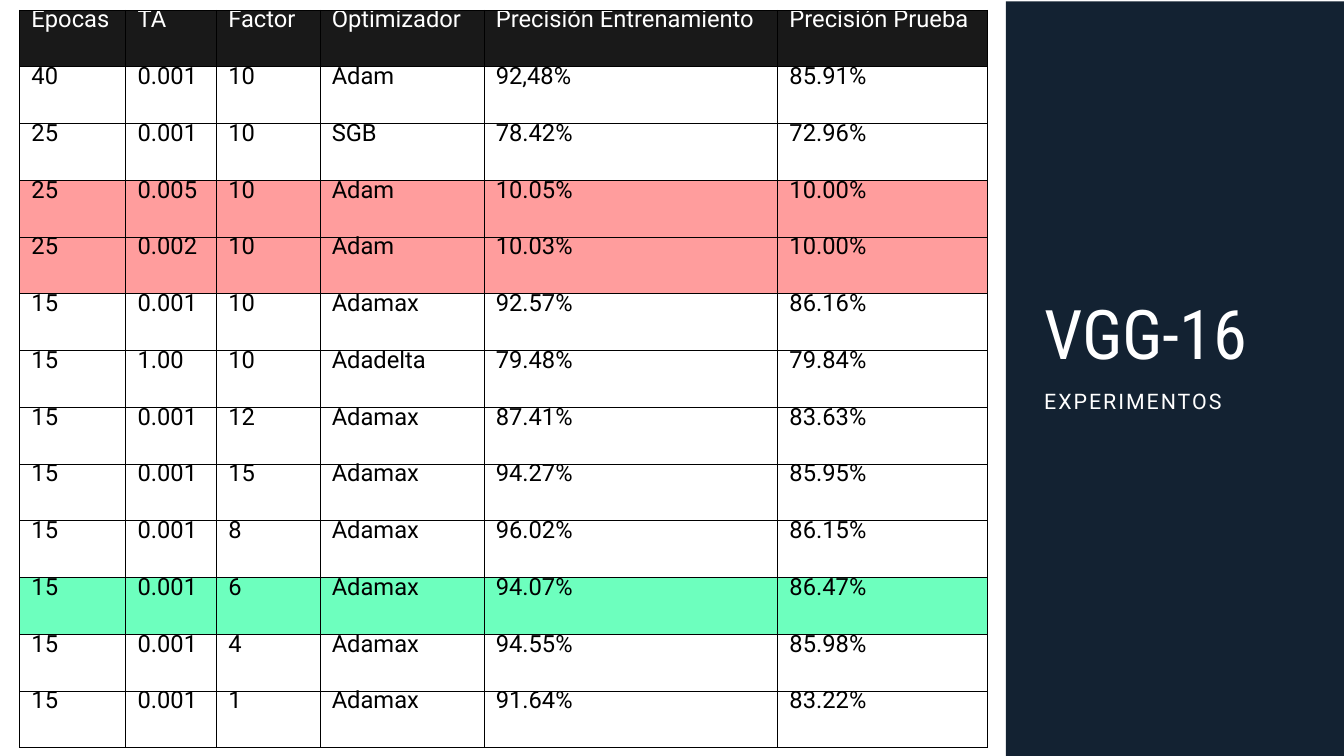
from lxml import etree
from pptx import Presentation
from pptx.dml.color import RGBColor
from pptx.enum.shapes import MSO_SHAPE
from pptx.oxml.ns import qn
from pptx.util import Cm, Pt

RECTANGLE = MSO_SHAPE.RECTANGLE

# Content
HEADER = ("Épocas", "TA", "Factor", "Optimizador",
          "Precisión Entrenamiento", "Precisión Prueba")
EXPERIMENTS = [
    ("40", "0.001", "10", "Adam", "92,48%", "85.91%"),
    ("25", "0.001", "10", "SGB", "78.42%", "72.96%"),
    ("25", "0.005", "10", "Adam", "10.05%", "10.00%"),
    ("25", "0.002", "10", "Adam", "10.03%", "10.00%"),
    ("15", "0.001", "10", "Adamax", "92.57%", "86.16%"),
    ("15", "1.00", "10", "Adadelta", "79.48%", "79.84%"),
    ("15", "0.001", "12", "Adamax", "87.41%", "83.63%"),
    ("15", "0.001", "15", "Adamax", "94.27%", "85.95%"),
    ("15", "0.001", "8", "Adamax", "96.02%", "86.15%"),
    ("15", "0.001", "6", "Adamax", "94.07%", "86.47%"),
    ("15", "0.001", "4", "Adamax", "94.55%", "85.98%"),
    ("15", "0.001", "1", "Adamax", "91.64%", "83.22%"),
]
TITLE, SUBTITLE = "VGG-16", "EXPERIMENTOS"

# Style, lengths in cm
BLACK, WHITE, NAVY = "000000", "FFFFFF", "132232"
WORST, BEST = "FF9D9D", "6DFFBE"
ROW_FILLS = {0: "191919", 3: WORST, 4: WORST, 10: BEST}
COLUMN_WIDTHS = (4.01, 3.43, 3.91, 6.2, 11.1, 7.92)
TABLE_LEFT, TABLE_TOP, TABLE_HEIGHT = 0.74, 0.38, 27.89
CELL_INSET = 0.45
SLIDE_WIDTH, SLIDE_HEIGHT = 50.8, 28.58
PANEL_LEFT, PANEL_TOP = 38.02, 0.05
HEADING_LEFT = 39.47


def color(hex_string):
    return RGBColor.from_string(hex_string)


def write(frame, text, size, line_spacing, font="Roboto", fill=WHITE):
    paragraph = frame.paragraphs[0]
    paragraph.line_spacing = Pt(line_spacing)
    run = paragraph.add_run()
    run.text = text
    run.font.name = font
    run.font.size = Pt(size)
    run.font.color.rgb = color(fill)
    return run


def add_borders(cell):
    properties = cell._tc.get_or_add_tcPr()
    for side in ("a:lnL", "a:lnR", "a:lnT", "a:lnB"):
        line = etree.SubElement(properties, qn(side), w=str(Pt(0.75)))
        solid = etree.SubElement(line, qn("a:solidFill"))
        etree.SubElement(solid, qn("a:srgbClr"), val=BLACK)


def add_results(slide):
    rows = [HEADER] + EXPERIMENTS
    results = slide.shapes.add_table(
        len(rows), len(HEADER), Cm(TABLE_LEFT), Cm(TABLE_TOP),
        Cm(sum(COLUMN_WIDTHS)), Cm(TABLE_HEIGHT)).table
    results.first_row = results.horz_banding = False
    for column, width in zip(results.columns, COLUMN_WIDTHS):
        column.width = Cm(width)
    for r, values in enumerate(rows):
        results.rows[r].height = Cm(TABLE_HEIGHT / len(rows))
        for c, value in enumerate(values):
            cell = results.cell(r, c)
            cell.margin_left = cell.margin_top = Cm(CELL_INSET)
            cell.margin_right = cell.margin_bottom = 0
            add_borders(cell)
            if r in ROW_FILLS:
                cell.fill.solid()
                cell.fill.fore_color.rgb = color(ROW_FILLS[r])
            else:
                cell.fill.background()
            write(cell.text_frame, value, 25.4, 12.7,
                  fill=BLACK if r else WHITE)


def add_heading(slide, text, top, width, height, size, line_spacing, font):
    box = slide.shapes.add_textbox(Cm(HEADING_LEFT), Cm(top), Cm(width), Cm(height))
    frame = box.text_frame
    frame.word_wrap = True
    frame.margin_left = frame.margin_right = 0
    frame.margin_top = frame.margin_bottom = 0
    return write(frame, text, size, line_spacing, font)


def main():
    deck = Presentation()
    deck.slide_width, deck.slide_height = Cm(SLIDE_WIDTH), Cm(SLIDE_HEIGHT)
    slide = deck.slides.add_slide(deck.slide_layouts[6])

    # Results table
    add_results(slide)

    # Side panel
    panel = slide.shapes.add_shape(
        RECTANGLE, Cm(PANEL_LEFT), Cm(PANEL_TOP),
        Cm(SLIDE_WIDTH - PANEL_LEFT), Cm(SLIDE_HEIGHT - PANEL_TOP))
    panel.shadow.inherit = False
    panel.fill.solid()
    panel.fill.fore_color.rgb = color(NAVY)
    panel.line.fill.background()

    # Headings
    add_heading(slide, TITLE, 11.13, 11.33, 3.02, 73.4, 84.4, "Roboto Condensed")
    subtitle = add_heading(slide, SUBTITLE, 14.48, 10.21, 1.09, 22.9, 33.3, "Roboto")
    subtitle.font._element.set("spc", "210")  # letter spacing, 2.1 pt

    deck.save("out.pptx")


if __name__ == "__main__":
    main()
